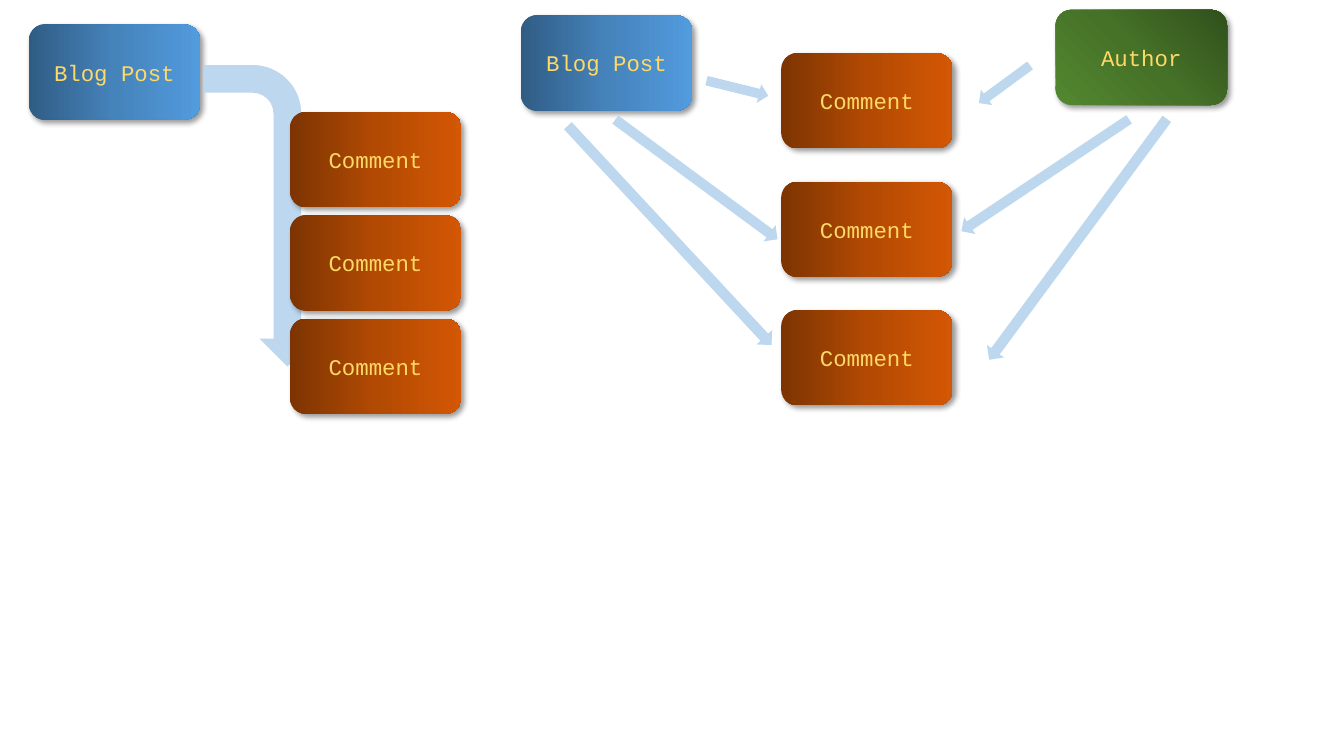
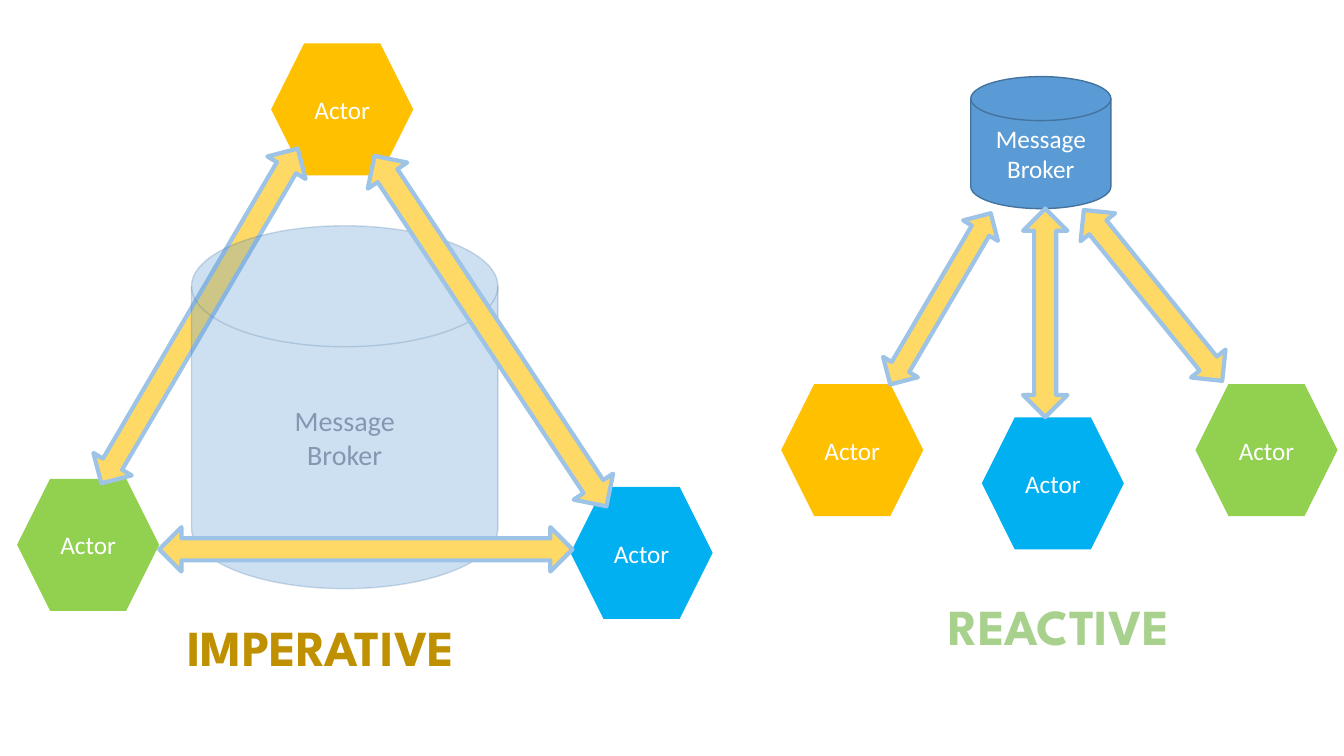
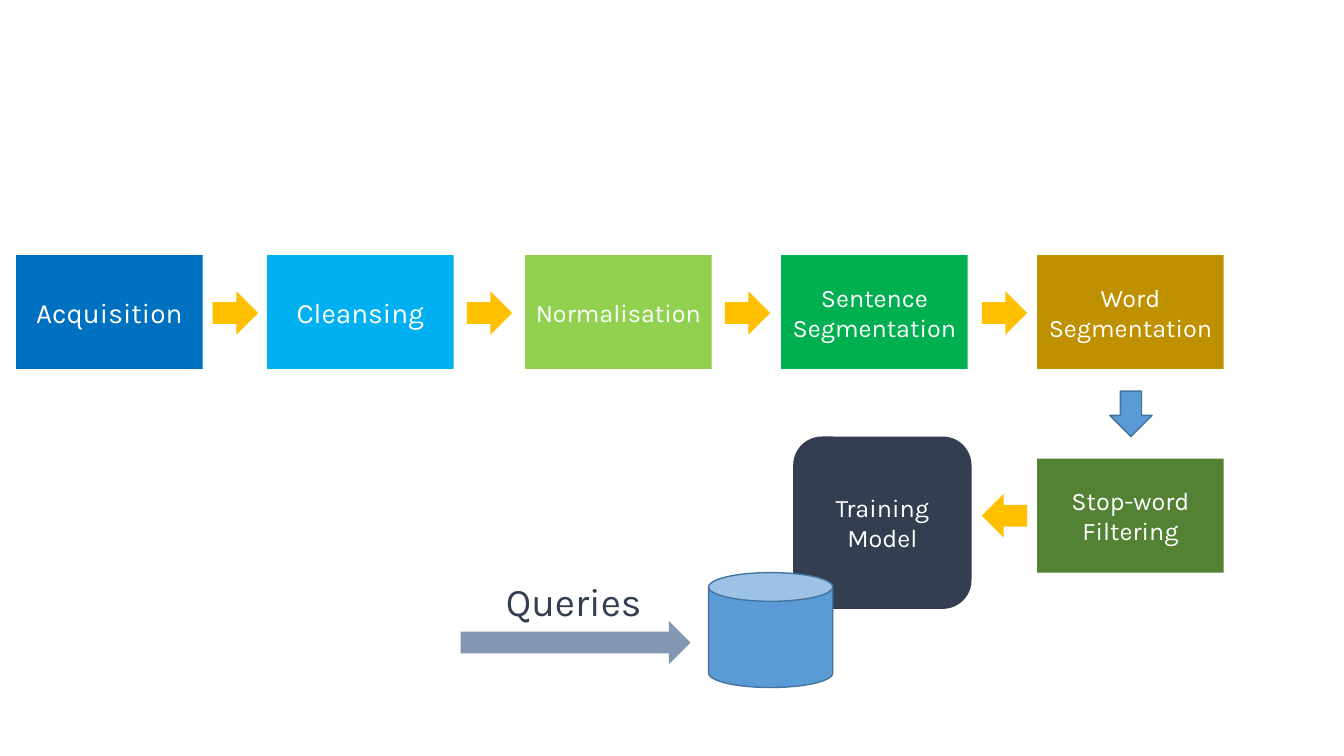
from lxml import etree
from pptx import Presentation
from pptx.dml.color import RGBColor
from pptx.enum.shapes import MSO_SHAPE as Preset
from pptx.enum.text import MSO_ANCHOR, MSO_AUTO_SIZE, PP_ALIGN
from pptx.oxml.ns import qn
from pptx.util import Pt

WHITE = RGBColor(0xFF, 0xFF, 0xFF)
BLUE = RGBColor(0x5B, 0x9B, 0xD5)
BLUE_EDGE = RGBColor(0x43, 0x73, 0x9E)
PALE_BLUE = RGBColor(0xBD, 0xD7, 0xEE)
SOFT_BLUE = RGBColor(0x9D, 0xC3, 0xE6)
DEEP_BLUE = RGBColor(0x00, 0x70, 0xC0)
SKY = RGBColor(0x00, 0xB0, 0xF0)
LIME = RGBColor(0x92, 0xD0, 0x50)
GREEN = RGBColor(0x00, 0xB0, 0x50)
LEAF = RGBColor(0xA9, 0xD1, 0x8E)
MOSS = RGBColor(0x54, 0x82, 0x35)
GOLD = RGBColor(0xFF, 0xC0, 0x00)
PALE_GOLD = RGBColor(0xFF, 0xD9, 0x66)
DARK_GOLD = RGBColor(0xBF, 0x90, 0x00)
SLATE = RGBColor(0x84, 0x97, 0xB0)
NAVY = RGBColor(0x33, 0x3F, 0x50)

# Gradient stops at 0, 50 and 100 percent
POST_STOPS = [RGBColor(0x30, 0x5C, 0x84), RGBColor(0x45, 0x83, 0xBB), RGBColor(0x52, 0x9B, 0xDE)]
COMMENT_STOPS = [RGBColor(0x7D, 0x34, 0x02), RGBColor(0xB2, 0x4A, 0x03), RGBColor(0xD3, 0x57, 0x04)]
AUTHOR_STOPS = [RGBColor(0x31, 0x50, 0x1C), RGBColor(0x46, 0x72, 0x28), RGBColor(0x53, 0x87, 0x30)]

# Slide 1: cards are placed by left and top, arrows by box and rotation
CARD_SIZE = (122.5, 68)
EMBEDDED_POST = (20.5, 17.5)
LINKED_POST = (372, 11)
AUTHOR = (754, 7)
COMMENT_COLUMNS = [(207, 80, 73.8), (558, 38, 91.8)]  # left, first top, step
COMMENTS_PER_COLUMN = 3
NESTING_ARROW = (77.8, 114.5, 215.3, 79.2)
LINK_ARROWS = [
    ((504, 56.2, 45.4, 13.7), 13.8),
    ((425.5, 121, 144, 14.4), 36.4),
    ((371.5, 160.6, 213.8, 15.1), 47.1),
    ((694.8, 53.3, 45.4, 13.7), 143.7),
    ((674.6, 118, 144, 14.4), 146.3),
    ((663.1, 163.4, 213.8, 15.1), 126.4),
]

# Slide 2
ACTOR_SIZE = (101.5, 94.3)
BROKER_LINES = ["Message", "Broker"]
IMPERATIVE_ACTORS = [(12.2, 342, LIME), (193.7, 31, GOLD), (407.5, 347.8, SKY)]
REACTIVE_ACTORS = [(558, 274.3, GOLD), (701.3, 298.1, SKY), (853.9, 274.3, LIME)]
ARROW_BEHIND_BROKER = ((126.7, 87.1, 31.7, 277.2), 30.4)
ARROWS_OVER_BROKER = [
    ((333.4, 86.4, 33.8, 300.2), 146.5),
    ((245.5, 244.8, 31.7, 295.2), 90),
]
REACTIVE_ARROWS = [
    ((657.4, 142.6, 28.8, 141.8), 30.4),
    ((807.8, 132.5, 31.7, 157), 321),
    ((730.8, 149, 31.7, 149), 0),
]
IMPERATIVE_BROKER = (136.8, 161.3, 218.9, 259.2)
REACTIVE_BROKER = (693.4, 54.7, 100.1, 94.3)
STYLE_LABELS = [
    ("IMPERATIVE", (126.7, 436.3, 213.8, 51.1), DARK_GOLD),
    ("REACTIVE", (670.3, 421.2, 180, 51.1), LEAF),
]

# Slide 3: left, top, fill, text size, lines
STEP_SIZE = (133.2, 81.4)
STEPS = [
    (11.5, 182.2, DEEP_BLUE, 20, ["Acquisition"]),
    (190.8, 182.2, SKY, 20, ["Cleansing"]),
    (375.1, 182.2, LIME, 18, ["Normalisation"]),
    (558, 182.2, GREEN, 18, ["Sentence", "Segmentation"]),
    (740.9, 182.2, DARK_GOLD, 18, ["Word", "Segmentation"]),
    (740.9, 327.6, MOSS, 18, ["Stop-word", "Filtering"]),
]
STEP_ARROW_SIZE = (32.4, 31)
STEP_ARROWS = [  # left, top, rotation
    (151.9, 208.1, 0), (333.4, 208.1, 0), (517.7, 208.1, 0),
    (701.3, 208.1, 0), (701.3, 352.8, 180),
]
DOWN_ARROW = (792.7, 279.4, 30.2, 32.4)
TRAINING_MODEL = (566.6, 311.8, 127.4, 123.1)
MODEL_STORE = (506.2, 409, 88.6, 82.1)
QUERIES_LABEL = (354.2, 409, 113.8, 41)
QUERIES_ARROW = (329, 443.5, 164.2, 31)


def add_element(parent, tag, **attributes):
    """Append a DrawingML child element and return it."""
    element = etree.SubElement(parent, qn(tag))
    for name, value in attributes.items():
        element.set(name, str(value))
    return element


def write_lines(shape, lines, font_name, size, color, bold=False, align=PP_ALIGN.CENTER):
    """Write one paragraph with one run for each line."""
    frame = shape.text_frame
    for index, line in enumerate(lines):
        paragraph = frame.add_paragraph() if index else frame.paragraphs[0]
        paragraph.alignment = align
        run = paragraph.add_run()
        run.text = line
        run.font.name = font_name
        run.font.size = Pt(size)
        run.font.bold = bold
        run.font.color.rgb = color


def draw(slide, preset, box, fill=None, edge=None, edge_width=1, rotation=0):
    """Add a flat preset shape with an optional outline."""
    shape = slide.shapes.add_shape(preset, *map(Pt, box))
    shape.rotation = rotation
    shape.shadow.inherit = False
    shape.text_frame.vertical_anchor = MSO_ANCHOR.MIDDLE
    if fill is not None:
        shape.fill.solid()
        shape.fill.fore_color.rgb = fill
    if edge is None:
        shape.line.fill.background()
    else:
        shape.line.color.rgb = edge
        shape.line.width = Pt(edge_width)
    return shape


def add_label(slide, text, box, font_name, size, color, bold=False):
    """Add an unwrapped line of text."""
    label = slide.shapes.add_textbox(*map(Pt, box))
    label.text_frame.word_wrap = False
    label.text_frame.auto_size = MSO_AUTO_SIZE.SHAPE_TO_FIT_TEXT
    write_lines(label, [text], font_name, size, color, bold, PP_ALIGN.LEFT)


def set_gradient(shape, stops, radial):
    """Fill with evenly spaced stops, across or out from the top right corner."""
    shape.fill.gradient()
    gradient = shape.fill._xPr.find(qn("a:gradFill"))
    for child in list(gradient):
        gradient.remove(child)
    stop_list = add_element(gradient, "a:gsLst")
    for index, color in enumerate(stops):
        stop = add_element(stop_list, "a:gs", pos=index * 100000 // (len(stops) - 1))
        add_element(stop, "a:srgbClr", val=color)
    if radial:
        circle = add_element(gradient, "a:path", path="circle")
        add_element(circle, "a:fillToRect", l=100000, b=100000)
    else:
        add_element(gradient, "a:lin", ang=0, scaled=0)


def add_card(slide, position, text, stops, radial=False):
    """Add a rounded gradient card with a soft shadow."""
    card = draw(slide, Preset.ROUNDED_RECTANGLE, (*position, *CARD_SIZE))
    set_gradient(card, stops, radial)
    effects = card._element.spPr.find(qn("a:effectLst"))
    shadow = add_element(effects, "a:outerShdw", blurRad=Pt(4), dist=Pt(3),
                         dir=45 * 60000, algn="tl", rotWithShape=0)
    color = add_element(shadow, "a:srgbClr", val="000000")
    add_element(color, "a:alpha", val=40000)
    write_lines(card, [text], "Courier New", 16, PALE_GOLD)


def add_actors(slide, actors):
    """Add the actor hexagons."""
    for left, top, color in actors:
        actor = draw(slide, Preset.HEXAGON, (left, top, *ACTOR_SIZE), color)
        write_lines(actor, ["Actor"], "Calibri", 18, WHITE)


def add_message_arrows(slide, arrows):
    """Add two-way arrows between actors and broker."""
    for box, rotation in arrows:
        draw(slide, Preset.UP_DOWN_ARROW, box, PALE_GOLD, SOFT_BLUE, 3, rotation)


def add_broker(slide, box, size, color):
    """Add the message broker cylinder."""
    broker = draw(slide, Preset.FLOWCHART_MAGNETIC_DISK, box, BLUE, BLUE_EDGE)
    write_lines(broker, BROKER_LINES, "Calibri", size, color)
    return broker


def fade(shape, fill_percent, line_percent):
    """Make a shape's solid fill and line see-through."""
    properties = shape._element.spPr
    for route, percent in (("a:solidFill", fill_percent), ("a:ln/a:solidFill", line_percent)):
        solid = properties.find("/".join(qn(tag) for tag in route.split("/")))
        add_element(solid[0], "a:alpha", val=percent * 1000)


def build_blog_models(slide):
    """Show comments nested in a post beside comments linked to post and author."""
    add_card(slide, EMBEDDED_POST, "Blog Post", POST_STOPS)
    draw(slide, Preset.BENT_ARROW, NESTING_ARROW, PALE_BLUE, rotation=90)
    add_card(slide, LINKED_POST, "Blog Post", POST_STOPS)
    for left, top, step in COMMENT_COLUMNS:
        for row in range(COMMENTS_PER_COLUMN):
            add_card(slide, (left, top + row * step), "Comment", COMMENT_STOPS)
    add_card(slide, AUTHOR, "Author", AUTHOR_STOPS, radial=True)
    for box, rotation in LINK_ARROWS:
        draw(slide, Preset.RIGHT_ARROW, box, PALE_BLUE, rotation=rotation)


def build_messaging_styles(slide):
    """Compare imperative and reactive messaging."""
    add_actors(slide, IMPERATIVE_ACTORS)
    add_message_arrows(slide, [ARROW_BEHIND_BROKER])
    fade(add_broker(slide, IMPERATIVE_BROKER, 20, SLATE), 30, 24)
    add_message_arrows(slide, ARROWS_OVER_BROKER)
    add_broker(slide, REACTIVE_BROKER, 18, WHITE)
    add_actors(slide, REACTIVE_ACTORS)
    add_message_arrows(slide, REACTIVE_ARROWS)
    for text, box, color in STYLE_LABELS:
        add_label(slide, text, box, "League Spartan", 36, color, bold=True)


def build_text_pipeline(slide):
    """Show the text processing steps that feed the training model."""
    for left, top, color, size, lines in STEPS:
        step = draw(slide, Preset.RECTANGLE, (left, top, *STEP_SIZE), color)
        write_lines(step, lines, "Karla", size, WHITE)
    for left, top, rotation in STEP_ARROWS:
        draw(slide, Preset.RIGHT_ARROW, (left, top, *STEP_ARROW_SIZE), GOLD, rotation=rotation)
    draw(slide, Preset.DOWN_ARROW, DOWN_ARROW, BLUE, BLUE_EDGE)
    model = draw(slide, Preset.ROUNDED_RECTANGLE, TRAINING_MODEL, NAVY)
    write_lines(model, ["Training", "Model"], "Karla", 18, WHITE)
    draw(slide, Preset.CAN, MODEL_STORE, BLUE, BLUE_EDGE)
    add_label(slide, "Queries", QUERIES_LABEL, "Karla", 28, NAVY)
    draw(slide, Preset.RIGHT_ARROW, QUERIES_ARROW, SLATE)


presentation = Presentation()
presentation.slide_width, presentation.slide_height = Pt(960), Pt(540)
blank_layout = presentation.slide_layouts[6]
for build in (build_blog_models, build_messaging_styles, build_text_pipeline):
    build(presentation.slides.add_slide(blank_layout))
presentation.save("out.pptx")
